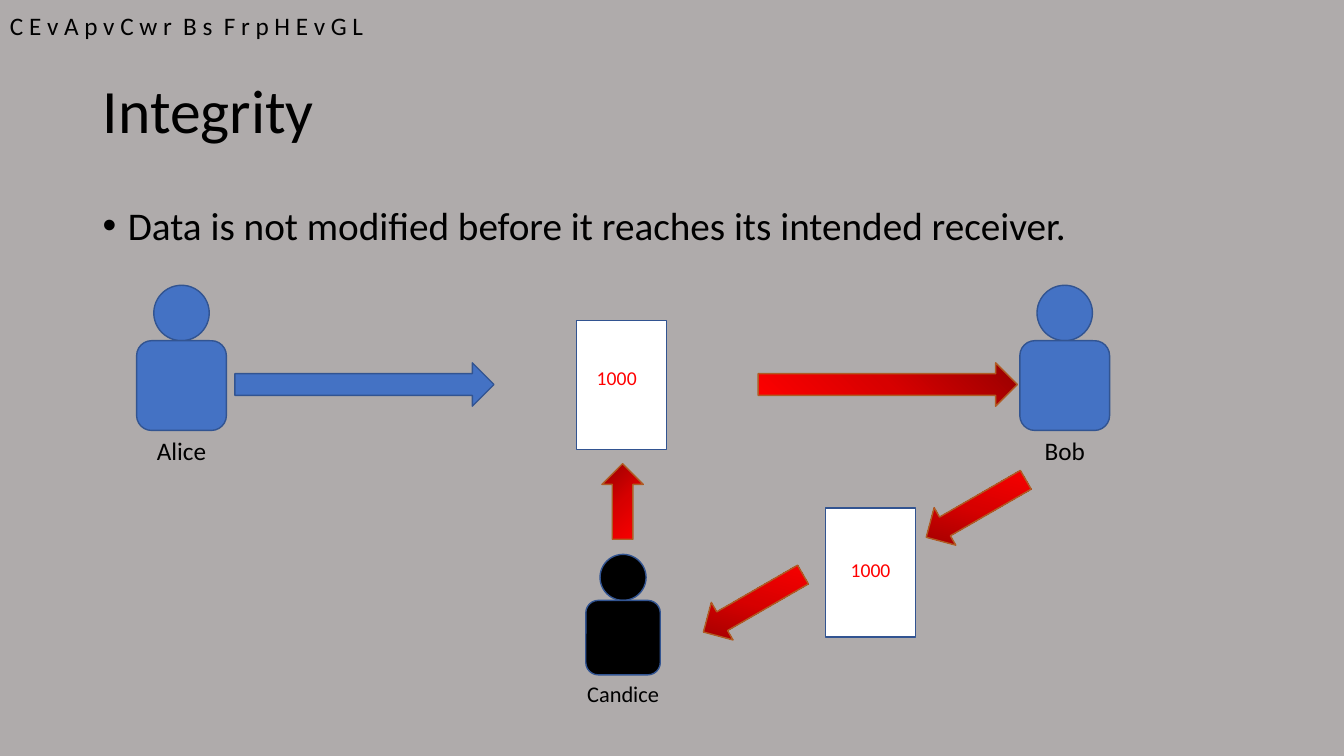
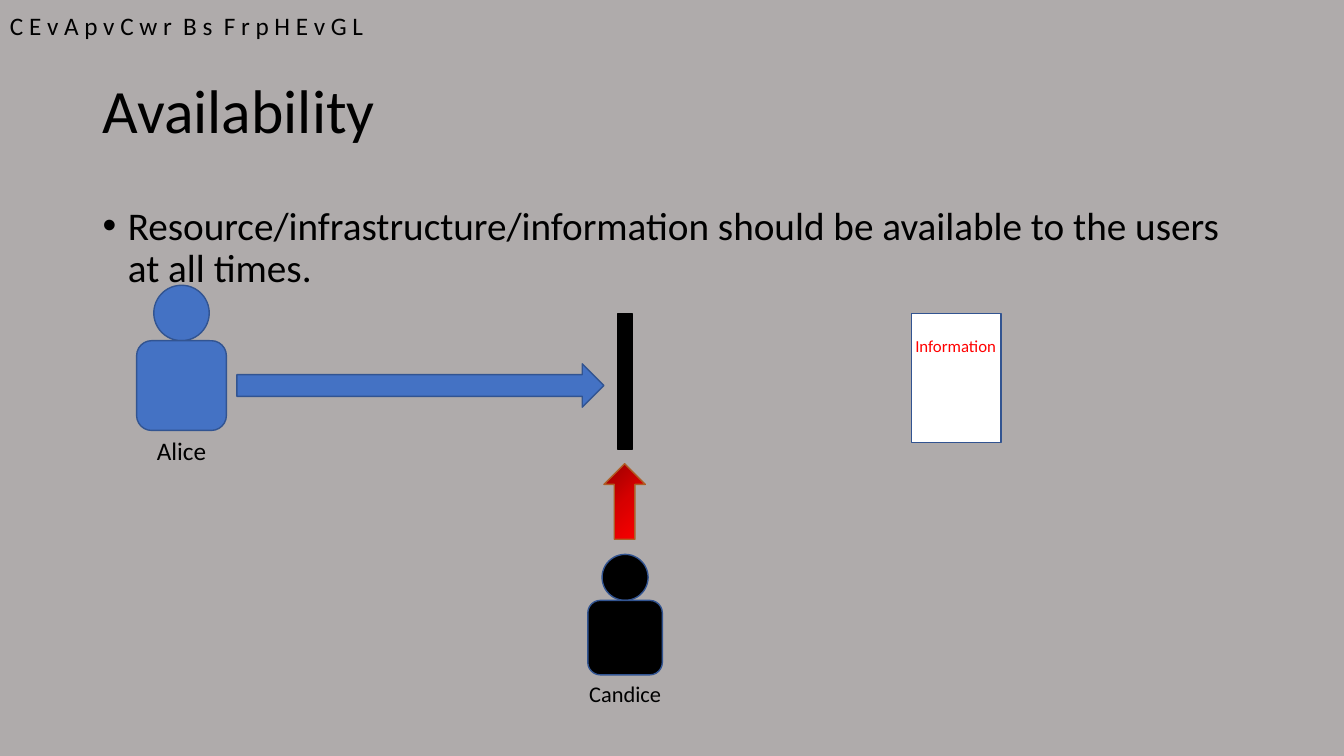
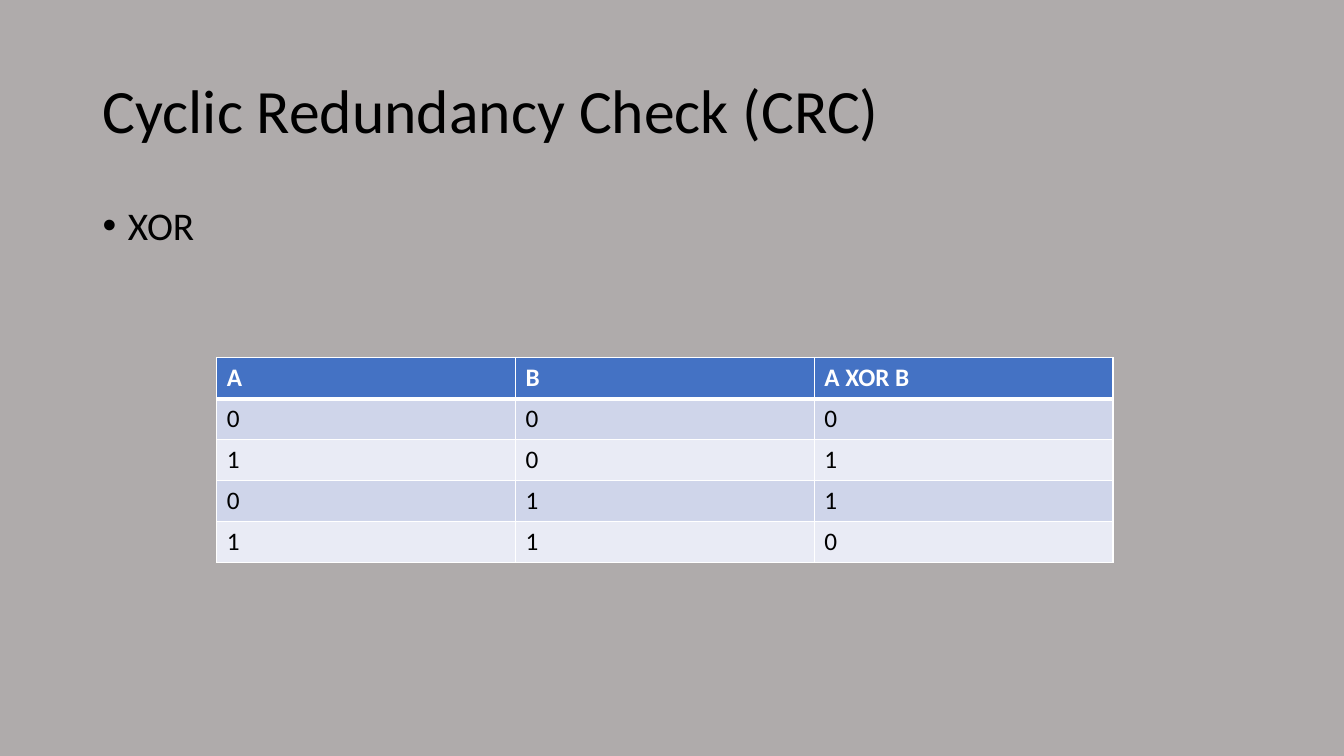
from copy import deepcopy
from dataclasses import dataclass

from lxml import etree
from pptx import Presentation
from pptx.dml.color import RGBColor
from pptx.enum.shapes import MSO_SHAPE
from pptx.enum.text import MSO_ANCHOR, PP_ALIGN
from pptx.oxml.ns import qn
from pptx.util import Inches, Pt

ELLIPSE = MSO_SHAPE.OVAL
ROUND_RECT = MSO_SHAPE.ROUNDED_RECTANGLE
RECT = MSO_SHAPE.RECTANGLE
RIGHT_ARROW = MSO_SHAPE.RIGHT_ARROW
LEFT, CENTER = PP_ALIGN.LEFT, PP_ALIGN.CENTER
TOP, MIDDLE = MSO_ANCHOR.TOP, MSO_ANCHOR.MIDDLE
TITLE_ONLY = 5


@dataclass(frozen=True)
class Theme:
    """Colours, font and type sizes shared by all slides."""
    font: str = "Calibri"
    background: str = "AFABAB"
    black: str = "000000"
    white: str = "FFFFFF"
    blue: str = "4472C4"
    blue_line: str = "325491"
    red: str = "FF0000"
    attack_line: str = "AF5C24"
    attack_stops: tuple = ((0, "970000"), (0.5, "D70000"), (1, "FF0000"))
    attack_angle: int = 225
    bands: tuple = ("CFD5EA", "E9EBF5")
    title: int = 44
    body: int = 28
    label: int = 18
    small_label: int = 16
    data: int = 14
    note: int = 12


def rgb(color):
    """Turn a hex string into a colour."""
    return RGBColor.from_string(color)


def set_all(obj, values):
    """Set each attribute named in a dict of format values."""
    for name, value in values.items():
        setattr(obj, name, value)


class Deck:
    """Hold the style and the current slide, and draw its elements."""

    def __init__(self, theme):
        self.theme = theme
        self.prs = Presentation()
        set_all(self.prs, {"slide_width": Inches(13.33), "slide_height": Inches(7.5)})
        fill = self.prs.slide_master.background.fill
        fill.solid()
        fill.fore_color.rgb = rgb(theme.background)
        self.s = None

    def slide(self, title, bullet):
        """Start a slide with its title and bullet."""
        self.s = self.prs.slides.add_slide(self.prs.slide_layouts[TITLE_ONLY])
        sp = self.s.shapes.title
        set_all(sp, {"left": Inches(0.92), "top": Inches(0.4),
                     "width": Inches(11.5), "height": Inches(1.45)})
        p = self.paragraph(sp.text_frame, title, self.theme.title, anchor=MIDDLE)
        p.line_spacing = 0.9
        p = self.text(bullet, 0.92, 2, 11.5, 4.76, self.theme.body)
        set_all(p, {"line_spacing": 0.9, "space_before": Pt(10)})
        pPr = p._p.get_or_add_pPr()
        pPr.set("marL", str(Inches(0.25)))
        pPr.set("indent", str(-Inches(0.25)))
        etree.SubElement(pPr, qn("a:buFont")).set("typeface", "Arial")
        etree.SubElement(pPr, qn("a:buChar")).set("char", "•")

    def paragraph(self, tf, text, size, color=None, align=LEFT, anchor=TOP, wrap=True,
                  bold=False):
        """Put one formatted paragraph into a text frame."""
        set_all(tf, {"word_wrap": wrap, "vertical_anchor": anchor})
        p = tf.paragraphs[0]
        p.alignment = align
        r = p.add_run()
        r.text = text
        set_all(r.font, {"name": self.theme.font, "size": Pt(size), "bold": bold})
        r.font.color.rgb = rgb(color or self.theme.black)
        return p

    def text(self, text, x, y, w, h, size, shapes=None, **style):
        """Add a text box and return its paragraph."""
        box = (shapes or self.s.shapes).add_textbox(Inches(x), Inches(y), Inches(w), Inches(h))
        return self.paragraph(box.text_frame, text, size, **style)

    def shape(self, kind, x, y, w, h, fill, line=None, shapes=None):
        """Add an outlined preset shape."""
        sp = (shapes or self.s.shapes).add_shape(kind, Inches(x), Inches(y), Inches(w), Inches(h))
        sp.shadow.inherit = False
        sp.fill.solid()
        sp.fill.fore_color.rgb = rgb(fill)
        sp.line.color.rgb = rgb(line or self.theme.blue_line)
        sp.line.width = Pt(1)
        return sp

    def header(self):
        """Add the line of letters at the top left."""
        self.text("C E v A p v C w r  B s  F r p H E v G L", 0, 0.05, 4.01, 0.71, self.theme.label)

    def person(self, name, cx, top, color, size, scale=1):
        """Add a head, a body and a name, centred on cx."""
        shapes = self.s.shapes.add_group_shape().shapes
        head, body = 0.55 * scale, 0.89 * scale
        self.shape(ELLIPSE, cx - head / 2, top, head, head, color, shapes=shapes)
        self.shape(ROUND_RECT, cx - body / 2, top + head, body, body, color, shapes=shapes)
        self.text(name, cx - 0.46, top + head + body, 0.92, 0.4, size, shapes,
                  align=CENTER, wrap=False)

    def alice(self):
        """Add the sender."""
        self.person("Alice", 1.8, 2.83, self.theme.blue, self.theme.label)

    def candice(self, cx):
        """Add the attacker and the arrow above."""
        self.person("Candice", cx, 5.5, self.theme.black, self.theme.small_label, 0.83)
        self.attack(cx - 0.38, 4.77, 0.75, 0.41, 270)

    def document(self, text, x, y, text_x, text_y, size, align=LEFT):
        """Add a sheet with red text."""
        shapes = self.s.shapes.add_group_shape().shapes
        self.shape(RECT, x, y, 0.89, 1.28, self.theme.white, shapes=shapes)
        self.text(text, text_x, text_y, 1.17, 0.34, size, shapes,
                  color=self.theme.red, align=align)

    def arrow(self, x, y, w):
        """Add a blue arrow."""
        self.shape(RIGHT_ARROW, x, y, w, 0.43, self.theme.blue)

    def attack(self, x, y, w, h=0.43, rotation=0):
        """Add a red gradient arrow."""
        sp = self.shape(RIGHT_ARROW, x, y, w, h, self.theme.red, self.theme.attack_line)
        sp.rotation = rotation
        sp.fill.gradient()
        sp.fill.gradient_angle = self.theme.attack_angle
        first = sp._element.spPr.find(".//" + qn("a:gs"))
        first.addnext(deepcopy(first))
        for stop, (position, color) in zip(sp.fill.gradient_stops, self.theme.attack_stops):
            stop.position = position
            stop.color.rgb = rgb(color)

    def border(self, cell, side, width):
        """Draw one white cell border."""
        ln = etree.SubElement(cell._tc.get_or_add_tcPr(), qn("a:ln" + side), w=str(Pt(width)))
        fill = etree.SubElement(ln, qn("a:solidFill"))
        etree.SubElement(fill, qn("a:srgbClr")).set("val", self.theme.white)

    def table(self, rows, x, y, w, h):
        """Add a table with a header row and banded rows."""
        t = self.theme
        table = self.s.shapes.add_table(len(rows), len(rows[0]), Inches(x), Inches(y),
                                        Inches(w), Inches(h)).table
        for i, row in enumerate(rows):
            is_header = i == 0
            fill = t.blue if is_header else t.bands[(i - 1) % 2]
            for j, value in enumerate(row):
                cell = table.cell(i, j)
                for side in "LRTB":
                    thick = (is_header and side == "B") or (i == 1 and side == "T")
                    self.border(cell, side, 3 if thick else 1)
                cell.fill.solid()
                cell.fill.fore_color.rgb = rgb(fill)
                self.paragraph(cell.text_frame, value, t.label, bold=is_header,
                               color=t.white if is_header else t.black)


def integrity(deck):
    """Build the integrity slide."""
    t = deck.theme
    deck.slide("Integrity", "Data is not modified before it reaches its intended receiver.")
    deck.header()
    deck.alice()
    deck.person("Bob", 10.56, 2.83, t.blue, t.label)
    deck.arrow(2.33, 3.6, 2.57)
    deck.document("100", 5.72, 3.18, 5.82, 3.58, t.data)
    deck.text("0", 6.12, 3.58, 0.27, 0.34, t.data, color=t.red)
    deck.candice(6.18)
    deck.attack(7.52, 3.6, 2.57)
    deck.document("1000", 8.19, 5.04, 8.05, 5.49, t.data, CENTER)
    for x, y in ((9.11, 4.83), (6.9, 5.77)):
        deck.attack(x, y, 1.14, rotation=150)


def availability(deck):
    """Build the availability slide."""
    t = deck.theme
    deck.slide("Availability", "Resource/infrastructure/information should be available "
                               "to the users at all times.")
    deck.header()
    deck.arrow(2.35, 3.61, 3.64)
    deck.document("Information", 9.04, 3.11, 8.98, 3.28, t.note)
    deck.candice(6.2)
    deck.alice()
    deck.shape(RECT, 6.13, 3.11, 0.14, 1.35, t.black, t.black)


def redundancy_check(deck):
    """Build the CRC slide."""
    deck.slide("Cyclic Redundancy Check (CRC)", "XOR")
    inputs = ((0, 0), (1, 0), (0, 1), (1, 1))
    rows = [("A", "B", "A XOR B")] + [(str(a), str(b), str(a ^ b)) for a, b in inputs]
    deck.table(rows, 2.15, 3.55, 8.89, 2.03)


def main():
    """Build and save the slides."""
    deck = Deck(Theme())
    for build in (integrity, availability, redundancy_check):
        build(deck)
    deck.prs.save("out.pptx")


if __name__ == "__main__":
    main()
